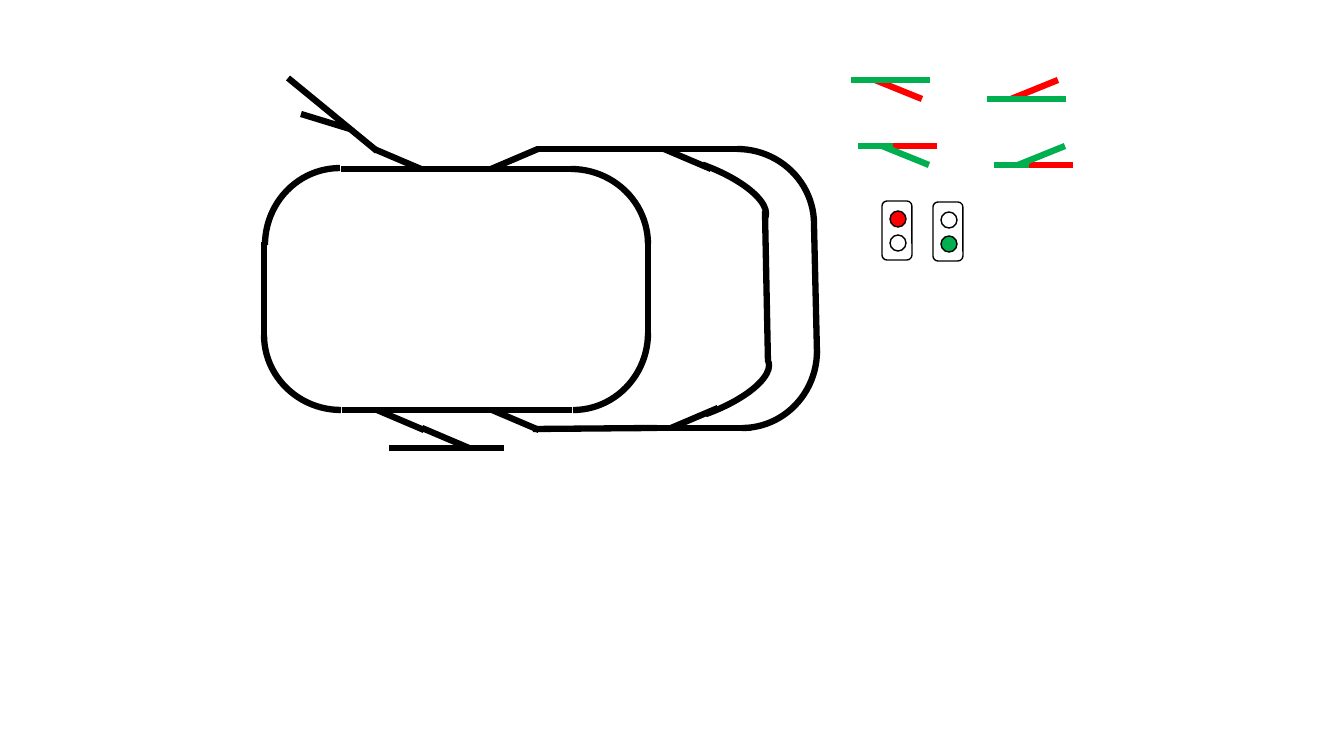
"""Build a model railway track plan with point and signal symbols."""
from dataclasses import dataclass
from typing import Any

import lxml.etree
import pptx
import pptx.dml.color
import pptx.enum.shapes
import pptx.oxml.ns
import pptx.util

EMU_PER_PIXEL = 914400 / 100.8
SHAPE = pptx.enum.shapes.MSO_SHAPE
Point = tuple[int, int]


@dataclass(frozen=True)
class Theme:
    """Colours and line widths of the plan."""
    track: str = "000000"
    stop: str = "FF0000"
    go: str = "00B050"
    blank: str = "FFFFFF"
    track_width: float = 4.5
    outline_width: float = 1


@dataclass(frozen=True)
class Curve:
    """A quarter ellipse of track; the frame is given before rotation."""
    left: int
    top: int
    rotation: float
    height: int = 150
    width: int = 154
    flipped: bool = False


@dataclass(frozen=True)
class Turnout:
    """A straight track with a branch; side and rise are +1 or -1."""
    start: Point
    side: int
    rise: int
    length: int = 115
    offset: int = 35
    drop: int = 20
    run: int = 47


@dataclass(frozen=True)
class PointSymbol:
    """A small turnout showing which way the points are set."""
    start: Point
    rise: int
    diverging: bool


@dataclass(frozen=True)
class Signal:
    """A two-lamp signal."""
    left: int
    top: int
    upper: str
    lower: str


THEME = Theme()

CURVES = [
    Curve(494, 169, 0),
    Curve(264, 260, 180),
    Curve(496, 258, 90),
    Curve(263, 170, 270),
    Curve(660, 149, 0),
    Curve(665, 276, 90),
    Curve(616, 163, 19.7, height=57),
    Curve(619, 359, 340.3, height=57, flipped=True),
]
STRAIGHTS: list[tuple[Point, Point]] = [
    ((264, 242), (264, 338)),
    ((648, 244), (648, 340)),
    ((537, 149), (660, 149)),
    ((533, 429), (657, 428)),
    ((817, 353), (814, 224)),
    ((768, 362), (765, 211)),
    ((377, 151), (288, 78)),
    ((350, 129), (301, 114)),
]
TURNOUTS = [
    Turnout((456, 169), side=-1, rise=-1),
    Turnout((456, 169), side=1, rise=-1),
    Turnout((342, 410), side=1, rise=1),
    Turnout((457, 410), side=1, rise=1),
    Turnout((504, 448), side=-1, rise=-1),
    Turnout((636, 428), side=1, rise=-1),
    Turnout((629, 149), side=1, rise=1),
]
POINT_SYMBOLS = [
    PointSymbol((851, 80), rise=1, diverging=False),
    PointSymbol((987, 99), rise=-1, diverging=False),
    PointSymbol((858, 146), rise=1, diverging=True),
    PointSymbol((994, 165), rise=-1, diverging=True),
]
SIGNALS = [
    Signal(882, 201, THEME.stop, THEME.blank),
    Signal(933, 202, THEME.blank, THEME.go),
]


def px(pixels: float) -> pptx.util.Emu:
    """Turn pixels into EMU."""
    return pptx.util.Emu(round(pixels * EMU_PER_PIXEL))


def style_line(line: Any, color: str, width: float) -> None:
    """Set the colour and width of a line."""
    line.color.rgb = pptx.dml.color.RGBColor.from_string(color)
    line.width = pptx.util.Pt(width)


def add_track(shapes: Any, start: Point, end: Point, color: str = THEME.track) -> None:
    """Draw one straight piece of track."""
    track = shapes.add_connector(pptx.enum.shapes.MSO_CONNECTOR.STRAIGHT,
                                 *map(px, start + end))
    style_line(track.line, color, THEME.track_width)
    lxml.etree.SubElement(track._element.spPr, pptx.oxml.ns.qn("a:effectLst"))


def add_curve(shapes: Any, curve: Curve) -> None:
    """Draw one curved piece of track."""
    arc = shapes.add_shape(SHAPE.ARC, px(curve.left), px(curve.top),
                           px(curve.width), px(curve.height))
    arc.shadow.inherit = False
    arc.fill.background()
    arc.rotation = curve.rotation
    style_line(arc.line, THEME.track, THEME.track_width)
    if curve.flipped:
        arc._element.spPr.find(pptx.oxml.ns.qn("a:xfrm")).set("flipV", "1")


def branch_ends(turnout: Turnout) -> tuple[Point, Point]:
    """Give both ends of a turnout's branch."""
    x, y = turnout.start
    root = x + turnout.side * turnout.offset
    return (root, y), (root + turnout.side * turnout.run, y + turnout.rise * turnout.drop)


def add_turnout(shapes: Any, turnout: Turnout) -> None:
    """Draw a turnout as a group of main track and branch."""
    x, y = turnout.start
    group = shapes.add_group_shape().shapes
    add_track(group, turnout.start, (x + turnout.side * turnout.length, y))
    add_track(group, *branch_ends(turnout))


def add_point_symbol(shapes: Any, symbol: PointSymbol) -> None:
    """Draw a point symbol with its open way green and its closed way red."""
    x, y = symbol.start
    turnout = Turnout(symbol.start, 1, symbol.rise, length=79, offset=24, drop=19)
    main = (symbol.start, (x + turnout.length, y))
    branch = branch_ends(turnout)
    closed, opened = (main, branch) if symbol.diverging else (branch, main)
    group = shapes.add_group_shape().shapes
    add_track(group, *closed, THEME.stop)
    add_track(group, *opened, THEME.go)
    if symbol.diverging:
        add_track(group, symbol.start, (x + 35, y), THEME.go)


def add_outlined(shapes: Any, kind: Any, left: int, top: int,
                 width: int, height: int, fill: str) -> None:
    """Draw a filled shape with a thin outline."""
    shape = shapes.add_shape(kind, px(left), px(top), px(width), px(height))
    shape.shadow.inherit = False
    shape.fill.solid()
    shape.fill.fore_color.rgb = pptx.dml.color.RGBColor.from_string(fill)
    style_line(shape.line, THEME.track, THEME.outline_width)


def add_signal(shapes: Any, signal: Signal) -> None:
    """Draw a signal as a group of housing and two lamps."""
    group = shapes.add_group_shape().shapes
    add_outlined(group, SHAPE.ROUNDED_RECTANGLE, signal.left, signal.top,
                 30, 59, THEME.blank)
    for drop, color in ((10, signal.upper), (34, signal.lower)):
        add_outlined(group, SHAPE.OVAL, signal.left + 8, signal.top + drop, 16, 16, color)


def main() -> None:
    """Build and save the deck."""
    deck = pptx.Presentation()
    deck.slide_width, deck.slide_height = px(1344), px(756)
    page = deck.slides.add_slide(deck.slide_layouts[6])
    for curve in CURVES:
        add_curve(page.shapes, curve)
    for start, end in STRAIGHTS:
        add_track(page.shapes, start, end)
    for turnout in TURNOUTS:
        add_turnout(page.shapes, turnout)
    for symbol in POINT_SYMBOLS:
        add_point_symbol(page.shapes, symbol)
    for signal in SIGNALS:
        add_signal(page.shapes, signal)
    deck.save("out.pptx")


main()
